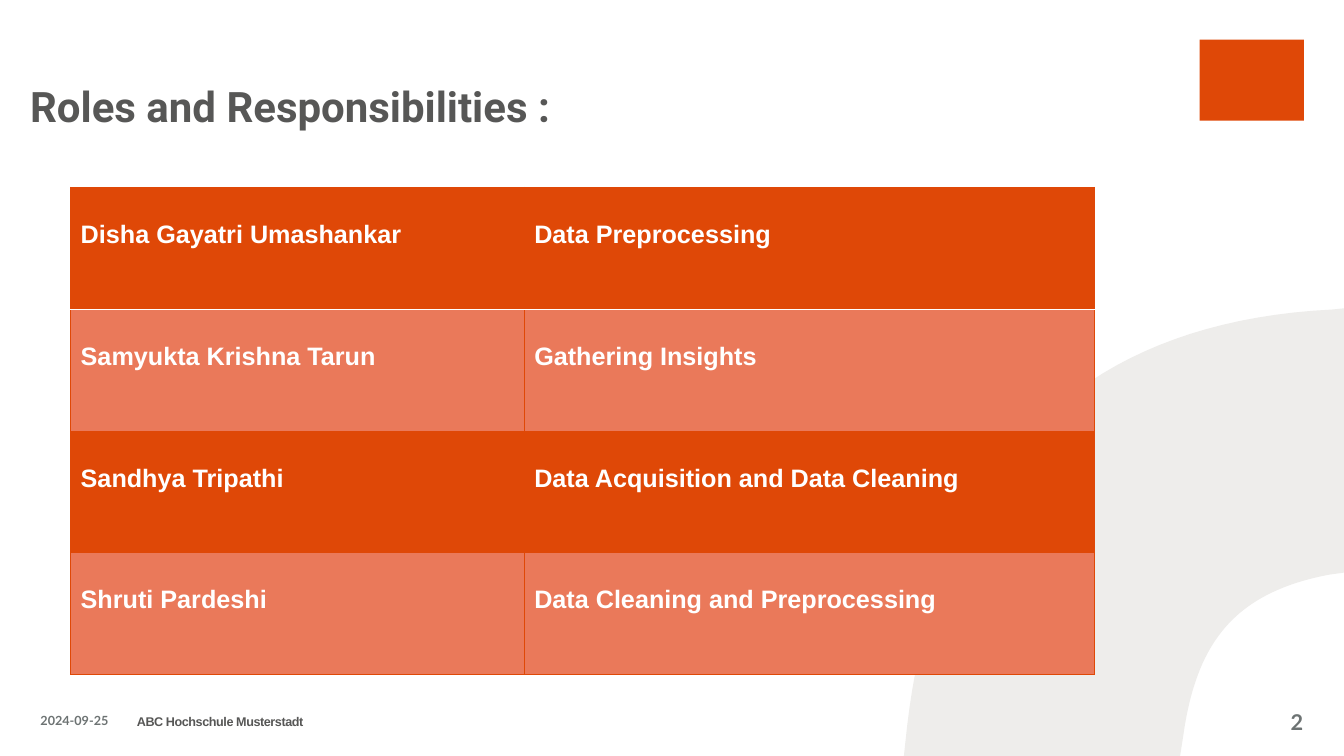
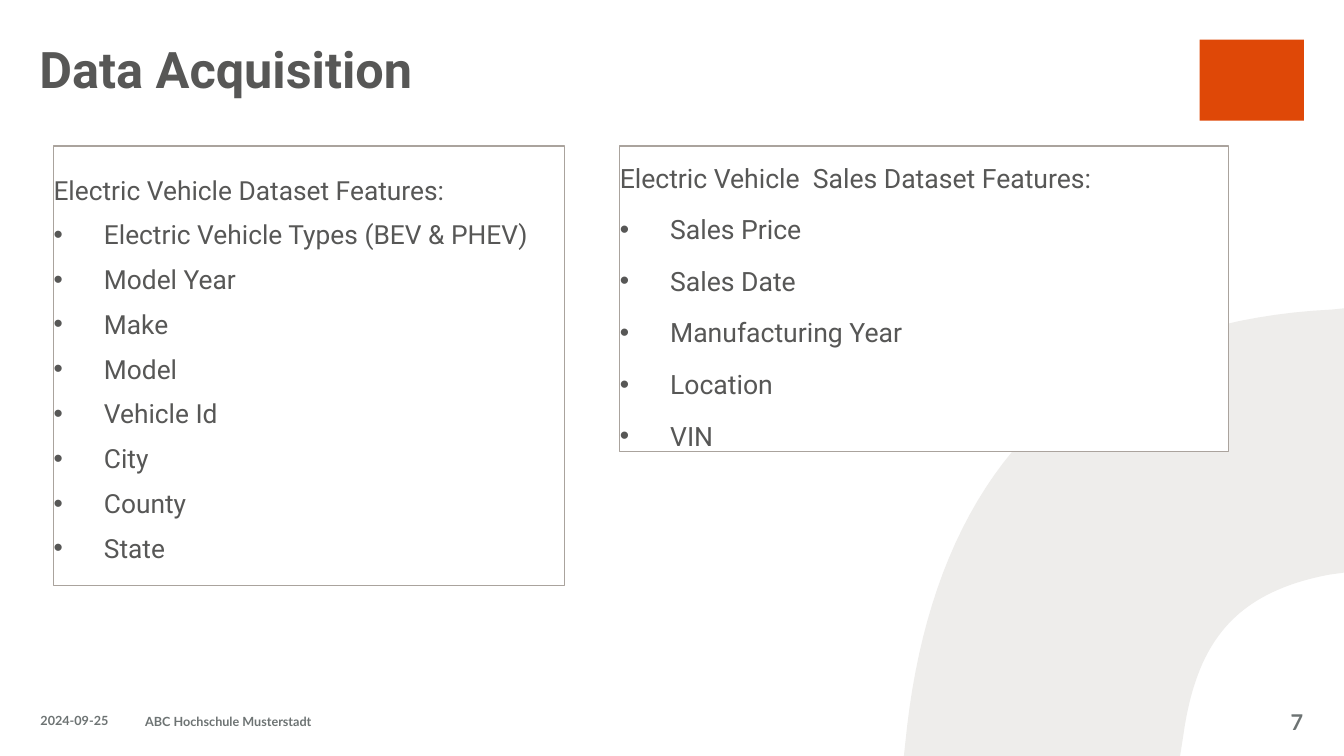
from dataclasses import dataclass

from lxml import etree
from pptx import Presentation
from pptx.dml.color import RGBColor
from pptx.enum import shapes, text
from pptx.oxml import ns
from pptx.util import Cm, Pt

ORANGE = RGBColor(0xDF, 0x48, 0x07)
SALMON = RGBColor(0xEA, 0x79, 0x5A)
WHITE = RGBColor(0xFF, 0xFF, 0xFF)
DARK = RGBColor(0x57, 0x57, 0x56)
GREY = RGBColor(0x6D, 0x73, 0x73)
STONE = RGBColor(0xAA, 0xA3, 0x9D)
PALE = RGBColor(0xEE, 0xED, 0xEB)
HEADING_FONT, FOOTER_FONT, TABLE_FONT = "Roboto", "Lato", "Arial"
LEFT, RIGHT = text.PP_ALIGN.LEFT, text.PP_ALIGN.RIGHT
MIDDLE, BOTTOM = text.MSO_ANCHOR.MIDDLE, text.MSO_ANCHOR.BOTTOM
DATE = "2024-09-25"
SCHOOL = "ABC Hochschule Musterstadt"


@dataclass(frozen=True)
class Box:
    """Position and size in centimetres."""

    left: float
    top: float
    width: float
    height: float

    def emu(self) -> tuple:
        """Return the four lengths for python-pptx."""
        return Cm(self.left), Cm(self.top), Cm(self.width), Cm(self.height)


@dataclass(frozen=True)
class Page:
    """Title and footer of a slide."""

    title: str
    title_box: Box
    title_size: float
    number: int
    school_left: float
    school_font: str = FOOTER_FONT
    school_color: RGBColor = GREY
    school_spacing: int = 0


@dataclass(frozen=True)
class Features:
    """A framed list of dataset features."""

    box: Box
    heading: str
    items: tuple
    size: float
    gap: float
    bottom: float = 0


ROLES_PAGE = Page("Roles and Responsibilities :", Box(0.76, 0.99, 25.43, 2.31), 30, 2,
                  3.45, TABLE_FONT, DARK, -30)
DATA_PAGE = Page("Data Acquisition", Box(0.99, 0.18, 25.43, 2.31), 36, 7, 3.66)
ROLES = (
    ("Disha Gayatri Umashankar", "Data Preprocessing"),
    ("Samyukta Krishna Tarun", "Gathering Insights"),
    ("Sandhya Tripathi", "Data Acquisition and Data Cleaning"),
    ("Shruti Pardeshi", "Data Cleaning and Preprocessing"),
)
ROLE_COLUMNS = (11.43, 14.38)
ROLE_ROW = 3.07
FEATURES = (
    Features(Box(1.35, 3.68, 12.88, 11.07), "Electric Vehicle Dataset Features:",
             ("Electric Vehicle Types (BEV & PHEV)", "Model Year", "Make", "Model",
              "Vehicle Id", "City", "County", "State"), 18.8, 9.4, 0.55),
    Features(Box(15.62, 3.68, 15.34, 7.7), "Electric Vehicle  Sales Dataset Features:",
             ("Sales Price", "Sales Date", "Manufacturing Year", "Location", "VIN"), 19, 14.1),
)


def write(p, content: str, *, size: float, font: str, color: RGBColor, bold: bool = False,
          align=LEFT, line: float = 1.0, before: float = 0, spacing: int = 0) -> None:
    """Write one formatted run into a paragraph."""
    p.alignment, p.line_spacing = align, line
    p.space_before, p.space_after = Pt(before), Pt(0)
    r = p.add_run()
    r.text = content
    r.font.size, r.font.name, r.font.bold = Pt(size), font, bold
    r.font.color.rgb = color
    if spacing:
        r._r.get_or_add_rPr().set("spc", str(spacing))


def set_frame(tf, anchor, bottom: float = 0) -> None:
    """Clear the margins of a text frame and anchor it."""
    tf.word_wrap, tf.auto_size, tf.vertical_anchor = True, text.MSO_AUTO_SIZE.NONE, anchor
    tf.margin_left = tf.margin_right = tf.margin_top = 0
    tf.margin_bottom = Cm(bottom)


def paint(sp, fill: RGBColor, line: RGBColor | None = None) -> None:
    """Give a shape a flat fill and an optional outline."""
    sp.shadow.inherit = False
    sp.fill.solid()
    sp.fill.fore_color.rgb = fill
    if line is None:
        sp.line.fill.background()
    else:
        sp.line.color.rgb, sp.line.width = line, Pt(1)


def add_text(s, box: Box, content: str, **style) -> None:
    """Add a one-line text box centred vertically."""
    tf = s.shapes.add_textbox(*box.emu()).text_frame
    set_frame(tf, MIDDLE)
    write(tf.paragraphs[0], content, **style)


def curve(a: tuple, b: tuple, c: tuple, d: tuple, steps: int = 40) -> list:
    """Return points along a cubic curve after its start."""
    ts = [i / steps for i in range(1, steps + 1)]
    return [tuple((1 - t) ** 3 * w + 3 * (1 - t) ** 2 * t * x + 3 * (1 - t) * t ** 2 * y
                  + t ** 3 * z for w, x, y, z in zip(a, b, c, d)) for t in ts]


def add_arch(s) -> None:
    """Draw the pale arch in the lower right corner."""
    points = [(33.87, 14.43), (33.5, 14.48)]
    points += curve(points[-1], (31.09, 14.94), (30.15, 16.21), (29.82, 18.54))
    points += [(29.74, 19.05), (22.78, 19.05), (22.86, 18.31)]
    points += curve(points[-1], (23.6, 12.01), (26.97, 8.13), (33.58, 7.8))
    fb = s.shapes.build_freeform(Cm(33.87), Cm(7.77))
    fb.add_line_segments([(Cm(x), Cm(y)) for x, y in points], close=True)
    paint(fb.convert_to_shape(), PALE)


def add_page(prs, page: Page):
    """Add a slide with its decoration, title and footer."""
    s = prs.slides.add_slide(prs.slide_layouts[5])
    add_arch(s)
    emblem = Box(30.23, 1, 2.63, 2.04)
    paint(s.shapes.add_shape(shapes.MSO_SHAPE.RECTANGLE, *emblem.emu()), ORANGE)
    title = s.shapes.title
    title.left, title.top, title.width, title.height = page.title_box.emu()
    set_frame(title.text_frame, BOTTOM)
    write(title.text_frame.paragraphs[0], page.title, size=page.title_size,
          font=HEADING_FONT, color=DARK, bold=True)
    add_text(s, Box(1.02, 17.65, 2.44, 1.02), DATE, size=9, font=FOOTER_FONT,
             color=GREY, bold=True)
    add_text(s, Box(page.school_left, 17.67, 18.03, 1.02), SCHOOL, size=9,
             font=page.school_font, color=page.school_color, bold=True,
             spacing=page.school_spacing)
    add_text(s, Box(30.96, 17.68, 1.88, 1.02), str(page.number), size=15.5,
             font=FOOTER_FONT, color=GREY, bold=True, align=RIGHT)
    return s


def add_border(cell, side: str, color: RGBColor, width: float) -> None:
    """Draw one side of a table cell."""
    ln = etree.SubElement(cell._tc.get_or_add_tcPr(), ns.qn(f"a:ln{side}"), w=str(Pt(width)))
    fill = etree.SubElement(ln, ns.qn("a:solidFill"))
    etree.SubElement(fill, ns.qn("a:srgbClr"), val=str(color))


def add_roles(s) -> None:
    """Add the table of people and their roles."""
    box = Box(1.78, 4.72, sum(ROLE_COLUMNS), ROLE_ROW * len(ROLES))
    table = s.shapes.add_table(len(ROLES), len(ROLE_COLUMNS), *box.emu()).table
    table.horz_banding = False
    for column, width in zip(table.columns, ROLE_COLUMNS):
        column.width = Cm(width)
    for i, row in enumerate(ROLES):
        table.rows[i].height = Cm(ROLE_ROW)
        for j, content in enumerate(row):
            cell = table.cell(i, j)
            for side in "LRTB":
                header_edge = (i, side) in ((0, "B"), (1, "T"))
                add_border(cell, side, *((WHITE, 1) if header_edge else (ORANGE, 0.5)))
            cell.fill.solid()
            cell.fill.fore_color.rgb = SALMON if i % 2 else ORANGE
            write(cell.text_frame.paragraphs[0], content, size=18, font=TABLE_FONT,
                  color=WHITE, bold=True, line=2.0)


def add_bullet(p) -> None:
    """Give a paragraph a hanging bullet."""
    pPr = p._p.get_or_add_pPr()
    pPr.set("marL", str(Cm(1.27)))
    pPr.set("indent", str(-Cm(1.27)))
    etree.SubElement(pPr, ns.qn("a:buFont"), typeface="Arial")
    etree.SubElement(pPr, ns.qn("a:buChar"), char="•")


def add_features(s, features: Features) -> None:
    """Add a framed heading with its bullet list."""
    sp = s.shapes.add_shape(shapes.MSO_SHAPE.RECTANGLE, *features.box.emu())
    paint(sp, WHITE, STONE)
    tf = sp.text_frame
    set_frame(tf, BOTTOM, features.bottom)
    style = dict(size=features.size, font=HEADING_FONT, color=DARK)
    write(tf.paragraphs[0], features.heading, **style)
    for item in features.items:
        p = tf.add_paragraph()
        write(p, item, before=features.gap, **style)
        add_bullet(p)


def main() -> None:
    """Build and save the presentation."""
    prs = Presentation()
    prs.slide_width, prs.slide_height = Cm(33.87), Cm(19.05)
    add_roles(add_page(prs, ROLES_PAGE))
    s = add_page(prs, DATA_PAGE)
    for features in FEATURES:
        add_features(s, features)
    prs.save("out.pptx")


if __name__ == "__main__":
    main()
